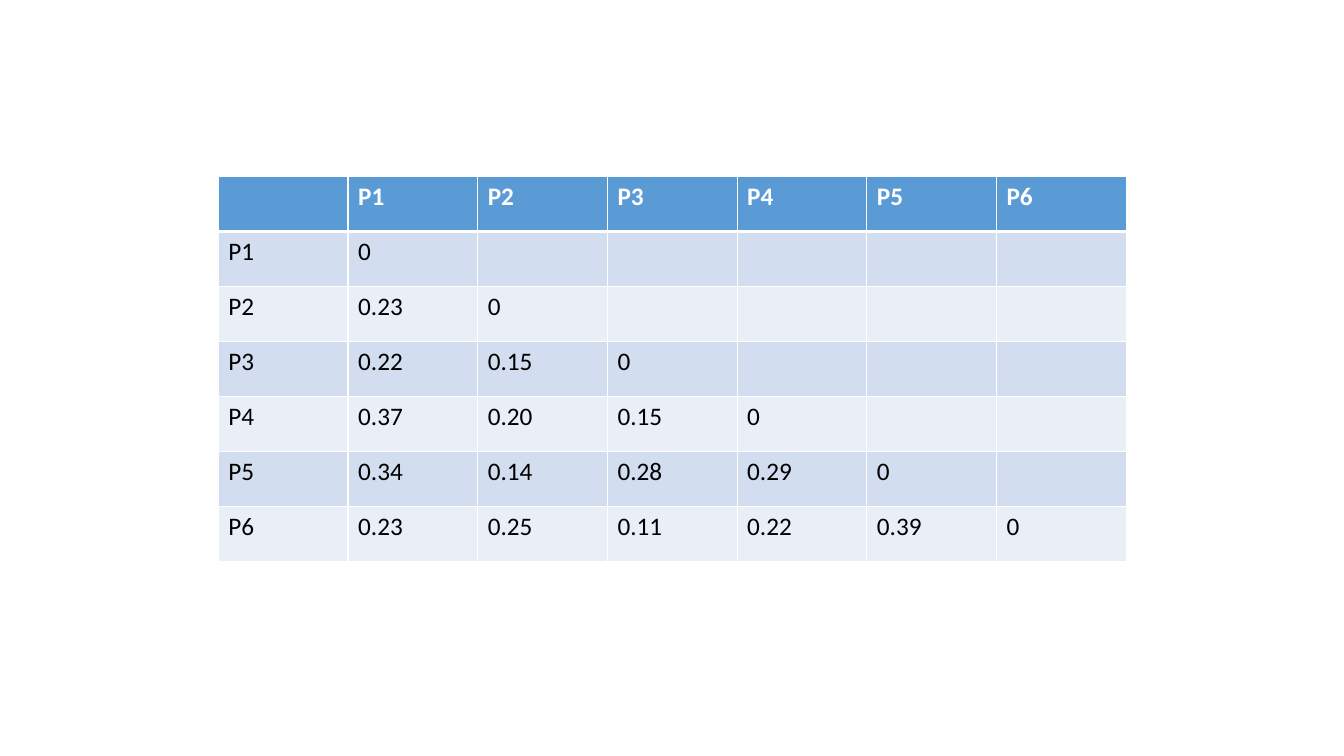
from lxml.etree import SubElement
from pptx import Presentation
from pptx.dml.color import RGBColor
from pptx.oxml.ns import qn
from pptx.util import Pt

NAMES = ["P1", "P2", "P3", "P4", "P5", "P6"]
DISTANCES = [
    ["0"],
    ["0.23", "0"],
    ["0.22", "0.15", "0"],
    ["0.37", "0.20", "0.15", "0"],
    ["0.34", "0.14", "0.28", "0.29", "0"],
    ["0.23", "0.25", "0.11", "0.22", "0.39", "0"],
]

EMU_PER_PX = 3048  # 300 px to the inch
SLIDE_WIDTH, SLIDE_HEIGHT = 4000, 2250
LEFT, TOP = 650, 525
COLUMN_WIDTH, ROW_HEIGHT = 386, 164

HEADER_FILL = "5B9BD5"
BAND_FILLS = ["D2DEEF", "EAEFF7"]
BORDER_COLOR = "FFFFFF"
BODY_FONT = {"name": "Calibri", "size": Pt(18), "bold": False}
HEADER_FONT = {**BODY_FONT, "bold": True}


def emu(px):
    return px * EMU_PER_PX


def color(hex_string):
    return RGBColor.from_string(hex_string)


def set_borders(cell, widths):
    """Draw the cell's edges; widths maps L, R, T, B to points."""
    properties = cell._tc.get_or_add_tcPr()
    for index, (side, width) in enumerate(widths.items()):
        line = SubElement(properties, qn(f"a:ln{side}"), w=str(Pt(width)))
        fill = SubElement(line, qn("a:solidFill"))
        SubElement(fill, qn("a:srgbClr"), val=BORDER_COLOR)
        properties.insert(index, line)


def format_cell(cell, text, row):
    is_header = row == 0
    cell.fill.solid()
    cell.fill.fore_color.rgb = color(HEADER_FILL if is_header else BAND_FILLS[(row - 1) % 2])
    set_borders(cell, {"L": 1, "R": 1, "T": 3 if row == 1 else 1, "B": 3 if is_header else 1})
    if text:
        run = cell.text_frame.paragraphs[0].add_run()
        run.text = text
        for attribute, value in (HEADER_FONT if is_header else BODY_FONT).items():
            setattr(run.font, attribute, value)
        run.font.color.rgb = color("FFFFFF" if is_header else "000000")


def add_distance_table(slide):
    rows = [["", *NAMES]] + [[name, *values] for name, values in zip(NAMES, DISTANCES)]
    size = len(rows)
    table = slide.shapes.add_table(
        size, size, emu(LEFT), emu(TOP), emu(COLUMN_WIDTH * size), emu(ROW_HEIGHT * size)
    ).table
    for row, texts in enumerate(rows):
        padded = texts + [""] * (size - len(texts))
        for column, text in enumerate(padded):
            format_cell(table.cell(row, column), text, row)


def main():
    presentation = Presentation()
    presentation.slide_width = emu(SLIDE_WIDTH)
    presentation.slide_height = emu(SLIDE_HEIGHT)
    slide = presentation.slides.add_slide(presentation.slide_layouts[6])
    add_distance_table(slide)
    presentation.save("out.pptx")


if __name__ == "__main__":
    main()
